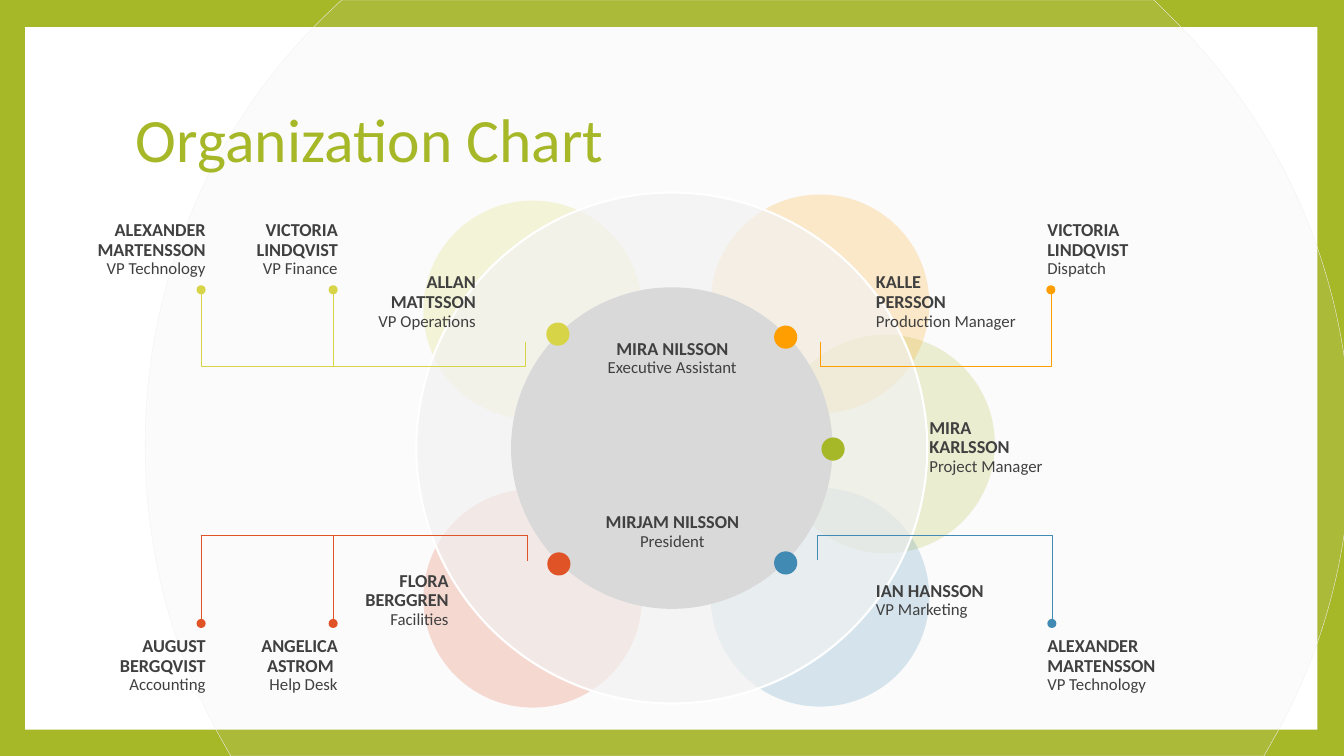
import pptx
import pptx.dml.color
import pptx.enum.shapes
import pptx.enum.text
import pptx.oxml
import pptx.oxml.ns
import pptx.util
from dataclasses import dataclass
from lxml import etree

EMU_PER_PX = 9144  # 100 px to the inch
SHAPES = pptx.enum.shapes.MSO_SHAPE
ALIGN = pptx.enum.text.PP_ALIGN
ANCHOR = pptx.enum.text.MSO_ANCHOR
LEFT, CENTER, RIGHT = ALIGN.LEFT, ALIGN.CENTER, ALIGN.RIGHT


@dataclass(frozen=True)
class Theme:
    font: str = "Calibri"
    green: str = "A6B727"
    blue: str = "418AB3"
    orange: str = "FE9E00"
    red: str = "DF5327"
    yellow: str = "D7D447"
    white: str = "FFFFFF"
    pale: str = "F2F2F2"
    grey: str = "D9D9D9"
    text: str = "404040"
    title_size: int = 44
    name_size: int = 13
    role_size: int = 12


THEME = Theme()


def px(value):
    return pptx.util.Emu(round(value * EMU_PER_PX))


def rgb(value):
    return pptx.dml.color.RGBColor.from_string(value)


def add_child(parent, tag, **attributes):
    return etree.SubElement(parent, pptx.oxml.ns.qn(tag), attributes)


class ChartSlide:
    def __init__(self, presentation, theme):
        self.theme = theme
        self.slide = presentation.slides.add_slide(presentation.slide_layouts[6])
        self.shapes = self.slide.shapes
        self.slide.background.fill.solid()
        self.slide.background.fill.fore_color.rgb = rgb(theme.green)

    def paint(self, shape, fill, opacity=100, line=None, line_width=1.0):
        shape.shadow.inherit = False
        shape.fill.solid()
        shape.fill.fore_color.rgb = rgb(fill)
        if opacity < 100:
            color = shape.fill._xPr.find(".//" + pptx.oxml.ns.qn("a:srgbClr"))
            add_child(color, "a:alpha", val=str(opacity * 1000))
        if line:
            shape.line.color.rgb = rgb(line)
            shape.line.width = pptx.util.Pt(line_width)
        else:
            shape.line.fill.background()

    def rectangle(self, left, top, width, height, fill):
        shape = self.shapes.add_shape(
            SHAPES.RECTANGLE, px(left), px(top), px(width), px(height))
        self.paint(shape, fill)

    def circle(self, left, top, size, fill, **style):
        shape = self.shapes.add_shape(
            SHAPES.OVAL, px(left), px(top), px(size), px(size))
        self.paint(shape, fill, **style)

    def curved_outline(self, points, curve_starts, fill, **style):
        """Draw an outline; three points from each curve start form one Bezier."""
        corners = [(px(x), px(y)) for x, y in points]
        builder = self.shapes.build_freeform(*corners[0], scale=1.0)
        builder.add_line_segments(corners[1:], close=True)
        shape = builder.convert_to_shape()
        outline = shape._element.spPr.find(".//" + pptx.oxml.ns.qn("a:path"))
        steps = list(outline)
        for start in curve_starts:
            curve = etree.Element(pptx.oxml.ns.qn("a:cubicBezTo"))
            steps[start].addprevious(curve)
            for step in steps[start:start + 3]:
                curve.append(step[0])
                outline.remove(step)
        self.paint(shape, fill, **style)

    def elbow(self, start_x, start_y, end_x, end_y, color, overshoot=25):
        """Run past the start by overshoot, across, then back to the end."""
        across, along = abs(end_x - start_x), abs(end_y - start_y)
        upward = end_y < start_y
        center_x, center_y = (start_x + end_x) / 2, (start_y + end_y) / 2
        left, right = center_x - along / 2, center_x + along / 2
        top, bottom = center_y - across / 2, center_y + across / 2
        if (end_x > start_x) == upward:
            top, bottom = bottom, top
        connector = self.shapes.add_connector(
            pptx.enum.shapes.MSO_CONNECTOR.ELBOW, px(right), px(top), px(left), px(bottom))
        connector.line.color.rgb = rgb(color)
        connector.line.width = pptx.util.Pt(0.79)
        properties = connector._element.spPr
        add_child(properties, "a:effectLst")
        quarter_turns = 1 if upward else 3
        properties.find(pptx.oxml.ns.qn("a:xfrm")).set("rot", str(quarter_turns * 5400000))
        adjustments = properties.find(".//" + pptx.oxml.ns.qn("a:avLst"))
        add_child(adjustments, "a:gd", name="adj1",
                  fmla=f"val {round(-100000 * overshoot / along)}")

    def text(self, lines, left, top, width, height, align=LEFT,
             anchor=ANCHOR.MIDDLE, inset=(0, 0)):
        """Write lines of (text, size, bold, color) as one paragraph."""
        box = self.shapes.add_textbox(px(left), px(top), px(width), px(height))
        frame = box.text_frame
        frame.word_wrap = True
        frame.vertical_anchor = anchor
        frame.margin_left = frame.margin_right = px(inset[0])
        frame.margin_top = frame.margin_bottom = px(inset[1])
        paragraph = frame.paragraphs[0]
        paragraph.alignment = align
        paragraph.line_spacing = 0.9
        for index, (content, size, bold, color) in enumerate(lines):
            if index:
                paragraph.add_line_break()
            run = paragraph.add_run()
            run.text = content
            run.font.name = self.theme.font
            run.font.size = pptx.util.Pt(size)
            run.font.bold = bold
            run.font.color.rgb = rgb(color)

    def person(self, name, role, *place, **style):
        theme = self.theme
        lines = [(part, theme.name_size, True, theme.text) for part in name.split("\n")]
        lines.append((role, theme.role_size, False, theme.text))
        self.text(lines, *place, **style)


BACKDROP = [
    (339, 0), (1145, 0), (1164, 19),
    (1273, 127), (1340, 277), (1340, 442),
    (1340, 545), (1314, 642), (1267, 727),
    (1254, 750), (229, 750), (216, 727),
    (170, 642), (144, 545), (144, 442),
    (144, 277), (210, 127), (319, 19),
]
BACKDROP = [(x - 72, y) for x, y in BACKDROP]
BACKDROP_CURVES = (3, 6, 12, 15)
PETALS = [  # left, top, color
    (770, 332, THEME.green), (705, 484, THEME.blue), (705, 193, THEME.orange),
    (420, 485, THEME.red), (420, 199, THEME.yellow),
]
HUB_DOTS = [
    (542, 320, THEME.yellow), (768, 323, THEME.orange), (768, 547, THEME.blue),
    (815, 434, THEME.green), (543, 548, THEME.red),
]
BRANCHES = [  # start x, end x, whether it ends above, color
    (521, 331, True, THEME.yellow), (521, 200, True, THEME.yellow),
    (523, 331, False, THEME.red), (523, 200, False, THEME.red),
    (814, 1043, True, THEME.orange), (811, 1044, False, THEME.blue),
]
PEOPLE = [  # name, role, left, top, width, height, alignment, anchor
    ("MIRJAM NILSSON", "President", 594, 490, 146, 75, CENTER, ANCHOR.MIDDLE),
    ("VICTORIA LINDQVIST", "VP Finance", 217, 210, 118, 75, RIGHT, ANCHOR.MIDDLE),
    ("AUGUST BERGQVIST", "Accounting", 86, 623, 118, 75, RIGHT, ANCHOR.MIDDLE),
    ("ALEXANDER MARTENSSON", "VP Technology", 71, 210, 133, 75, RIGHT, ANCHOR.MIDDLE),
    ("ANGELICA ASTROM ", "Help Desk", 217, 623, 118, 75, RIGHT, ANCHOR.MIDDLE),
    ("ALLAN MATTSSON", "VP Operations", 354, 270, 118, 59, RIGHT, ANCHOR.MIDDLE),
    ("FLORA BERGGREN", "Facilities", 327, 566, 118, 59, RIGHT, ANCHOR.MIDDLE),
    ("KALLE \nPERSSON", "Production Manager", 869, 270, 163, 59, LEFT, ANCHOR.MIDDLE),
    ("MIRA KARLSSON", "Project Manager", 922, 414, 118, 59, LEFT, ANCHOR.MIDDLE),
    ("IAN HANSSON", "VP Marketing", 869, 566, 118, 59, LEFT, ANCHOR.MIDDLE),
    ("VICTORIA LINDQVIST ", "Dispatch", 1039, 210, 118, 75, LEFT, ANCHOR.MIDDLE),
    ("MIRA NILSSON", "Executive Assistant", 594, 337, 146, 43, CENTER, ANCHOR.TOP),
    ("ALEXANDER MARTENSSON", "VP Technology", 1039, 623, 133, 75, LEFT, ANCHOR.MIDDLE),
]


def main():
    presentation = pptx.Presentation()
    presentation.slide_width = pptx.util.Inches(40 / 3)
    presentation.slide_height = pptx.util.Inches(7.5)
    chart = ChartSlide(presentation, THEME)
    chart.rectangle(25, 27, 1282, 697, THEME.white)
    chart.curved_outline([(x + 72, y) for x, y in BACKDROP], BACKDROP_CURVES, THEME.grey,
                         opacity=10, line=THEME.pale, line_width=0.25)
    for left, top, color in PETALS:
        chart.circle(left, top, 217, color, opacity=20)
    chart.circle(413, 191, 507, THEME.pale, opacity=68, line=THEME.white, line_width=1.5)
    chart.circle(507, 285, 319, THEME.grey)
    chart.text([("Organization Chart", THEME.title_size, False, THEME.green)],
               125, 67, 1080, 148, inset=(10, 5))
    for name, role, left, top, width, height, align, anchor in PEOPLE:
        chart.person(name, role, left, top, width, height, align=align, anchor=anchor)
    for left, top, color in HUB_DOTS:
        chart.circle(left, top, 23, color)
    for start_x, end_x, above, color in BRANCHES:
        start_y, end_y, dot_top = (339, 292, 283) if above else (556, 614, 614)
        chart.circle(end_x - 5, dot_top, 9, color)
        chart.elbow(start_x, start_y, end_x, end_y, color)
    presentation.save("out.pptx")


if __name__ == "__main__":
    main()
